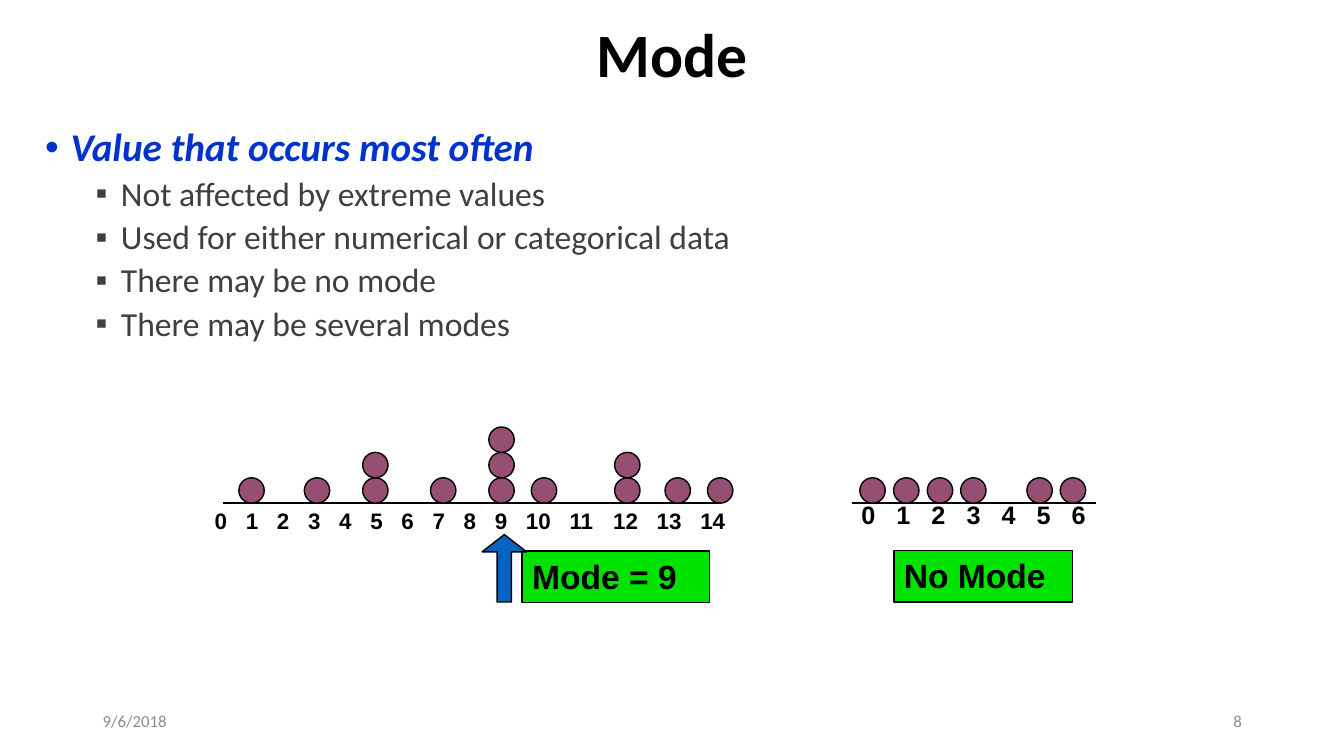
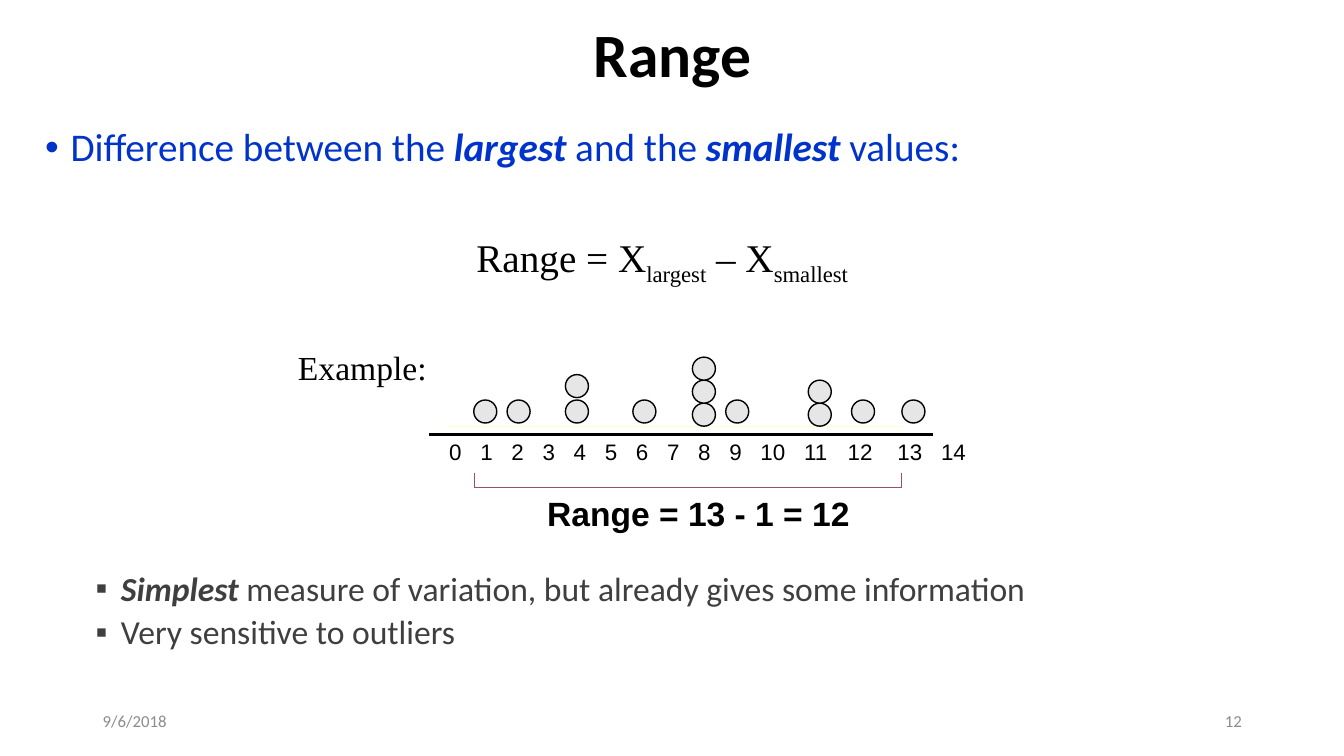
from lxml import etree
from pptx import Presentation
from pptx import util as u
from pptx.dml.color import RGBColor
from pptx.enum import shapes, text
from pptx.oxml import ns

BLACK = RGBColor(0x00, 0x00, 0x00)
WHITE = RGBColor(0xFF, 0xFF, 0xFF)
BLUE = RGBColor(0x00, 0x33, 0xCC)
DARK_GRAY = RGBColor(0x3F, 0x3F, 0x3F)
FOOTER_GRAY = RGBColor(0x8C, 0x8C, 0x8C)
PLUM = RGBColor(0x95, 0x4F, 0x72)
LIGHT_GRAY = RGBColor(0xE7, 0xE6, 0xE6)
GREEN = RGBColor(0x00, 0xE2, 0x00)
ARROW_BLUE = RGBColor(0x05, 0x63, 0xC1)
PALE_YELLOW = RGBColor(0xFF, 0xFF, 0xCC)

SANS, LABEL, SERIF = "Calibri", "Arial", "Times New Roman"
EMPHASIS = {"bold": True, "italic": True}
SUBSCRIPT = {"baseline": -25}

ALIGN = text.PP_ALIGN
MIDDLE = text.MSO_ANCHOR.MIDDLE
SHAPE = shapes.MSO_SHAPE


def write(paragraph, content, *, size, font=SANS, color=BLACK, bold=False,
          italic=False, baseline=0, align=ALIGN.LEFT, spacing=None, before=0):
    """Fill a paragraph from a string, or from (string, format) pairs that override the format."""
    paragraph.alignment = align
    paragraph.space_before = u.Pt(before)
    if spacing:
        paragraph.line_spacing = spacing
    pieces = [(content, {})] if isinstance(content, str) else content
    for words, changes in pieces:
        run = paragraph.add_run()
        run.text = words
        run.font.name = font
        run.font.size = u.Pt(size)
        run.font.color.rgb = color
        run.font.bold = changes.get("bold", bold)
        run.font.italic = changes.get("italic", italic)
        shift = changes.get("baseline", baseline)
        if shift:
            run.font._element.set("baseline", str(shift * 1000))


def set_bullet(paragraph, character, indent):
    properties = paragraph._p.get_or_add_pPr()
    properties.set("marL", str(u.Cm(indent)))
    properties.set("indent", str(-u.Cm(0.64)))
    etree.SubElement(properties, ns.qn("a:buFont")).set("typeface", LABEL)
    etree.SubElement(properties, ns.qn("a:buChar")).set("char", character)


def set_tabs(paragraph, stops):
    tab_list = etree.SubElement(paragraph._p.get_or_add_pPr(), ns.qn("a:tabLst"))
    for stop in stops:
        tab = etree.SubElement(tab_list, ns.qn("a:tab"))
        tab.set("pos", str(u.Pt(stop)))
        tab.set("algn", "l")


class Deck:
    """Holds the shared style and the current slide; lengths are centimetres."""

    def __init__(self):
        self.presentation = Presentation()
        self.presentation.slide_width = u.Cm(33.87)
        self.presentation.slide_height = u.Cm(19.05)
        self.slide = None

    def add_slide(self, title, number):
        layout = self.presentation.slide_layouts[5]
        self.slide = self.presentation.slides.add_slide(layout)
        self.slide.background.fill.solid()
        self.slide.background.fill.fore_color.rgb = WHITE
        shape = self.slide.shapes.title
        shape.left, shape.top = u.Cm(2.34), u.Cm(0.3)
        shape.width, shape.height = u.Cm(29.21), u.Cm(2.31)
        frame = shape.text_frame
        frame.auto_size = text.MSO_AUTO_SIZE.NONE
        frame.vertical_anchor = MIDDLE
        write(frame.paragraphs[0], title, size=44, bold=True,
              align=ALIGN.CENTER, spacing=0.9)
        for left, words, align in ((2.34, "9/6/2018", ALIGN.LEFT),
                                   (23.93, number, ALIGN.RIGHT)):
            self.text_box(left, 17.65, 7.62, 1.02, words, anchor=MIDDLE,
                          size=12, color=FOOTER_GRAY, align=align)

    def text_box(self, left, top, width, height, content,
                 anchor=text.MSO_ANCHOR.TOP, **style):
        shape = self.slide.shapes.add_textbox(
            u.Cm(left), u.Cm(top), u.Cm(width), u.Cm(height))
        frame = shape.text_frame
        frame.word_wrap = True
        frame.vertical_anchor = anchor
        write(frame.paragraphs[0], content, **style)
        return frame

    def body(self, heading, points, first_gap=5):
        """Add a heading bullet with points; first_gap is the space above the points."""
        frame = self.text_box(0.89, 3.1, 32.28, 14.05, heading, size=28,
                              color=BLUE, spacing=0.9, before=10)
        set_bullet(frame.paragraphs[0], "•", 0.64)
        for index, point in enumerate(points):
            paragraph = frame.add_paragraph()
            write(paragraph, point, size=24, color=DARK_GRAY, spacing=0.9,
                  before=5 if index else first_gap)
            set_bullet(paragraph, "▪", 1.91)

    def shape(self, kind, left, top, width, height, fill):
        shape = self.slide.shapes.add_shape(
            kind, u.Cm(left), u.Cm(top), u.Cm(width), u.Cm(height))
        shape.shadow.inherit = False
        shape.fill.solid()
        shape.fill.fore_color.rgb = fill
        shape.line.color.rgb = BLACK
        shape.line.width = u.Pt(1)
        return shape

    def result(self, left, top, width, words):
        shape = self.shape(SHAPE.RECTANGLE, left, top, width, 1.3, GREEN)
        frame = shape.text_frame
        frame.word_wrap = True
        frame.vertical_anchor = text.MSO_ANCHOR.TOP
        write(frame.paragraphs[0], words, size=24, font=LABEL, bold=True)

    def up_arrow(self, left, top, width, height, fill):
        arrow = self.shape(SHAPE.UP_ARROW, left, top, width, height, fill)
        arrow.adjustments[0], arrow.adjustments[1] = 0.32, 0.39

    def line(self, x1, y1, x2, y2, color=BLACK, weight=1):
        connector = self.slide.shapes.add_connector(
            shapes.MSO_CONNECTOR.STRAIGHT,
            u.Cm(x1), u.Cm(y1), u.Cm(x2), u.Cm(y2))
        connector.line.color.rgb = color
        connector.line.width = u.Pt(weight)
        etree.SubElement(connector._element.spPr, ns.qn("a:effectLst"))

    def dots(self, stacks, top, diameter, pitch, fill):
        """Draw stacks of (left, count) upwards from the lowest dot's top."""
        for left, count in stacks:
            for level in range(count):
                self.shape(SHAPE.OVAL, left, top - level * pitch,
                           diameter, diameter, fill)

    def scale(self, left, top, width, last, size, bold=False, wide=()):
        """Write 0 to last at tab stops; numbers in wide get one more space before them."""
        space, digit = 0.278 * size, 0.556 * size
        stops, position = [], 0
        for number in range(1, last + 1):
            position += digit * len(str(number - 1)) + space * (4 if number in wide else 3)
            stops.append(position)
        words = "\t".join(str(number) for number in range(last + 1))
        frame = self.text_box(left, top, width, 1.02, words,
                              size=size, font=LABEL, bold=bold)
        set_tabs(frame.paragraphs[0], stops)


def build_mode(deck):
    deck.add_slide("Mode", "8")
    deck.body([("Value that occurs most often", EMPHASIS)],
              ["Not affected by extreme values",
               "Used for either numerical or categorical data",
               "There may be no mode",
               "There may be several modes"])

    deck.line(5.61, 12.67, 18.11, 12.67)
    deck.scale(5.16, 12.65, 15.04, last=14, size=16, bold=True)
    deck.dots([(6.02, 1), (7.67, 1), (9.14, 2), (10.85, 1), (12.32, 3),
               (13.39, 1), (15.49, 2), (16.76, 1), (17.83, 1)],
              top=12.04, diameter=0.64, pitch=0.64, fill=PLUM)
    deck.result(13.16, 13.89, 4.72, "Mode = 9")
    deck.up_arrow(12.15, 13.47, 1.12, 1.7, ARROW_BLUE)

    deck.line(21.46, 12.67, 27.61, 12.67)
    deck.scale(21.46, 12.47, 7.04, last=6, size=18, bold=True)
    deck.dots([(left, 1) for left in (21.67, 22.52, 23.37, 24.21, 25.88, 26.72)],
              top=12.04, diameter=0.64, pitch=0.64, fill=PLUM)
    deck.result(22.53, 13.87, 4.5, "No Mode")


def build_range(deck):
    deck.add_slide("Range", "12")
    deck.body([("Difference between the ", {}), ("largest", EMPHASIS),
               (" and the ", {}), ("smallest", EMPHASIS), (" values:", {})],
              [[("Simplest", EMPHASIS),
                (" measure of variation, but already gives some information", {})],
               "Very sensitive to outliers"],
              first_gap=287)
    deck.text_box(10.44, 5.21, 12.5, 2.49,
                  [("Range = X", {}), ("largest", SUBSCRIPT),
                   (" – X", {}), ("smallest", SUBSCRIPT)],
                  size=28, font=SERIF, align=ALIGN.CENTER, spacing=1.4)
    deck.text_box(7.26, 8.61, 4.24, 1.27, "Example:", size=24, font=SERIF)

    deck.line(11.23, 10.74, 22.78, 10.74, PALE_YELLOW)
    deck.line(10.8, 10.95, 23.52, 10.95, weight=1.5)
    deck.dots([(11.94, 1), (12.78, 1), (14.25, 2), (15.95, 1),
               (18.29, 1), (21.46, 1), (22.73, 1)],
              top=10.08, diameter=0.58, pitch=0.64, fill=LIGHT_GRAY)
    deck.dots([(17.45, 3), (20.37, 2)],
              top=10.16, diameter=0.58, pitch=0.58, fill=LIGHT_GRAY)
    deck.scale(11.07, 10.92, 14.5, last=14, size=16, wide=(13,))

    first, last, bottom = 11.96, 22.73, 12.29
    deck.line(first, bottom, last, bottom, PLUM, 0.75)
    for end in (first, last):
        deck.line(end, bottom, end, bottom - 0.38, PLUM, 0.75)
    deck.text_box(13.54, 12.29, 10.57, 1.27, "Range = 13 - 1 = 12",
                  size=24, font=LABEL, bold=True)


def main():
    deck = Deck()
    build_mode(deck)
    build_range(deck)
    deck.presentation.save("out.pptx")


if __name__ == "__main__":
    main()
